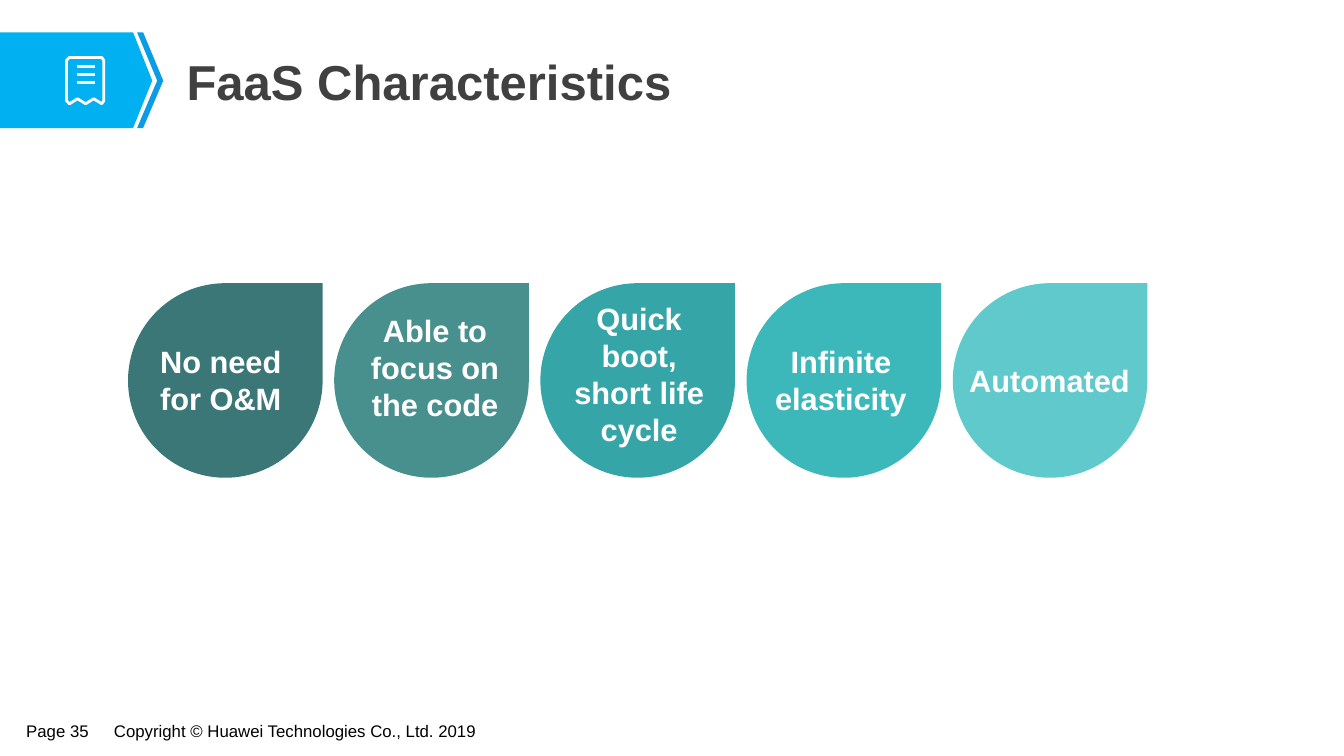
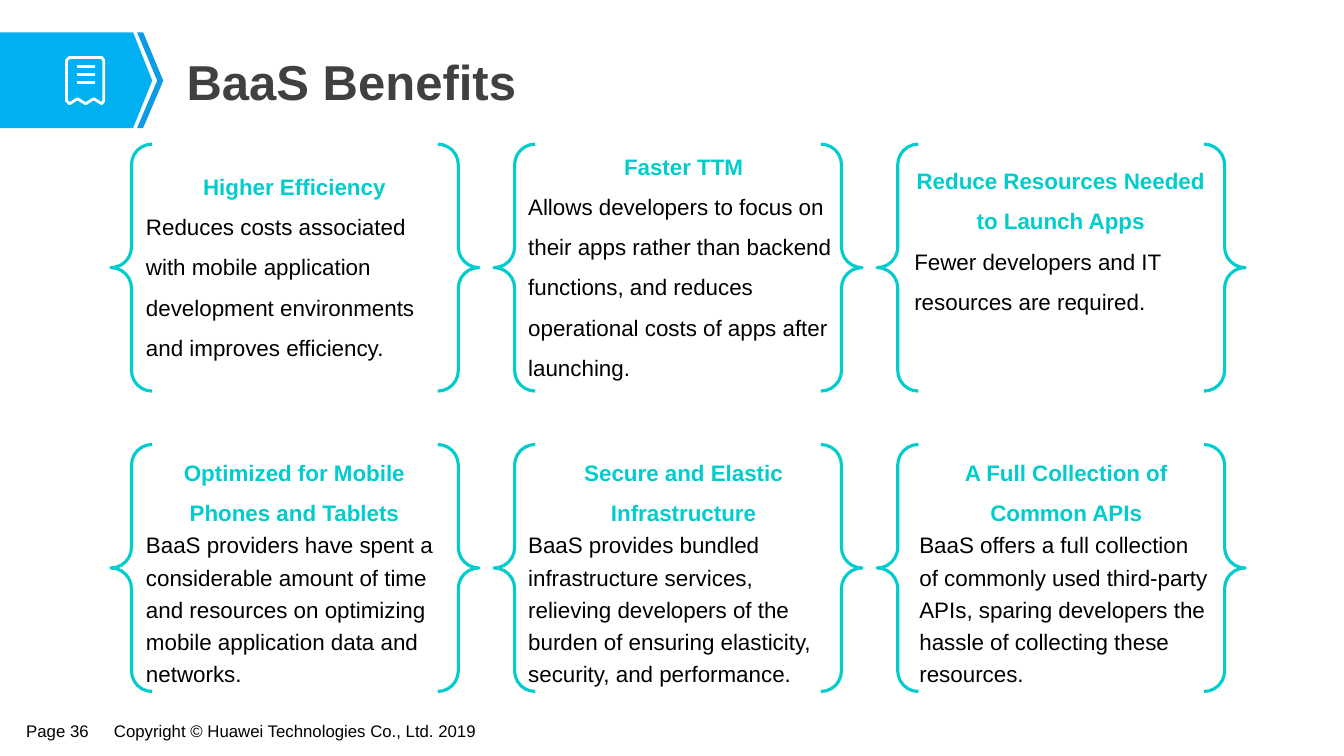
from dataclasses import dataclass
from typing import Optional

import pptx
import pptx.dml.color
import pptx.enum.shapes
import pptx.enum.text
import pptx.shapes.autoshape
import pptx.slide
import pptx.text.text
import pptx.util
from lxml import etree
from pptx.util import Inches

RGBColor = pptx.dml.color.RGBColor
MSO_SHAPE = pptx.enum.shapes.MSO_SHAPE
PP_ALIGN = pptx.enum.text.PP_ALIGN
MSO_ANCHOR = pptx.enum.text.MSO_ANCHOR

FONT = "Arial"
BLACK = RGBColor(0x00, 0x00, 0x00)
WHITE = RGBColor(0xFF, 0xFF, 0xFF)
TITLE_GREY = RGBColor(0x40, 0x40, 0x40)
BANNER_BLUE = RGBColor(0x00, 0xB0, 0xF0)
CHEVRON_BLUE = RGBColor(0x0B, 0x9C, 0xE5)
AQUA = RGBColor(0x02, 0xCC, 0xCC)
TEAL_1 = RGBColor(0x3B, 0x77, 0x77)
TEAL_2 = RGBColor(0x48, 0x90, 0x8E)
TEAL_3 = RGBColor(0x36, 0xA5, 0xA8)
TEAL_4 = RGBColor(0x3C, 0xB7, 0xBA)
TEAL_5 = RGBColor(0x60, 0xC9, 0xCC)

COPYRIGHT = "Copyright © Huawei Technologies Co., Ltd. 2019"
BANNER = [(1.32, 1.27), (0, 1.27), (0, 0.32), (1.32, 0.32), (1.51, 0.8)]
CHEVRON = [(1.42, 0.32), (1.36, 0.32), (1.56, 0.8), (1.36, 1.27), (1.42, 1.27), (1.62, 0.8)]
RECEIPT = [
    (0.69, 0.57), (1.01, 0.57), (1.03, 0.6), (1.03, 1), (1.01, 1.03), (0.93, 0.98),
    (0.85, 1.03), (0.77, 0.98), (0.69, 1.03), (0.66, 1), (0.66, 0.6),
]

Point = tuple[float, float]
Box = tuple[float, float, float, float]


@dataclass(frozen=True)
class Drop:
    lines: tuple[str, ...]
    color: RGBColor
    box: Box
    align: PP_ALIGN = PP_ALIGN.CENTER


@dataclass(frozen=True)
class Benefit:
    heading: str
    body: str
    box: Box
    spacing: float


DROPS = [
    Drop(("No need for O&M",), TEAL_1, (1.49, 3.35, 1.57, 0.84), PP_ALIGN.LEFT),
    Drop(("Able to focus on the code",), TEAL_2, (3.4, 3.04, 1.83, 1.21)),
    Drop(("Quick boot,", "short life cycle"), TEAL_3, (5.41, 2.92, 1.86, 1.58)),
    Drop(("Infinite elasticity",), TEAL_4, (7.3, 3.35, 2.08, 0.84)),
    Drop(("Automated",), TEAL_5, (9.46, 3.54, 1.9, 0.47)),
]

BENEFITS = [
    Benefit(
        "Higher Efficiency",
        "Reduces costs associated with mobile application development environments "
        "and improves efficiency.",
        (1.35, 1.52, 3.14, 2.12), 1.5,
    ),
    Benefit(
        "Faster TTM",
        "Allows developers to focus on their apps rather than backend functions, "
        "and reduces operational costs of apps after launching.",
        (5.14, 1.32, 3.28, 2.52), 1.5,
    ),
    Benefit(
        "Reduce Resources Needed to Launch Apps",
        "Fewer developers and IT resources are required.",
        (8.97, 1.47, 3.1, 1.71), 1.5,
    ),
    Benefit(
        "Optimized for Mobile Phones and Tablets",
        "BaaS providers have spent a considerable amount of time and resources "
        "on optimizing mobile application data and networks.",
        (1.35, 4.36, 3.14, 2.52), 1.2,
    ),
    Benefit(
        "Secure and Elastic Infrastructure",
        "BaaS provides bundled infrastructure services, relieving developers of the "
        "burden of ensuring elasticity, security, and performance.",
        (5.14, 4.36, 3.28, 2.52), 1.2,
    ),
    Benefit(
        "A Full Collection of Common APIs",
        "BaaS offers a full collection of commonly used third-party APIs, sparing "
        "developers the hassle of collecting these resources.",
        (9.02, 4.36, 3.11, 2.52), 1.2,
    ),
]


def add_frame(
    s: pptx.slide.Slide,
    box: Box,
    *,
    wrap: bool = True,
    anchor: MSO_ANCHOR = MSO_ANCHOR.MIDDLE,
    inset: Point = (0.1, 0.05),
) -> pptx.text.text.TextFrame:
    tf = s.shapes.add_textbox(*map(Inches, box)).text_frame
    tf.word_wrap = wrap
    tf.vertical_anchor = anchor
    tf.margin_left = tf.margin_right = Inches(inset[0])
    tf.margin_top = tf.margin_bottom = Inches(inset[1])
    return tf


def add_text(
    tf: pptx.text.text.TextFrame,
    text: str,
    *,
    size: float,
    color: RGBColor = BLACK,
    bold: bool = False,
    align: PP_ALIGN = PP_ALIGN.LEFT,
    spacing: float = 1.0,
) -> None:
    p = tf.paragraphs[0]
    if p.runs:
        p = tf.add_paragraph()
    p.alignment = align
    p.line_spacing = spacing
    r = p.add_run()
    r.text = text
    r.font.name = FONT
    r.font.size = pptx.util.Pt(size)
    r.font.bold = bold
    r.font.color.rgb = color


def style_shape(
    sp: pptx.shapes.autoshape.Shape,
    *,
    fill: Optional[RGBColor] = None,
    line: Optional[RGBColor] = None,
    width: float = 2.25,
) -> None:
    sp.shadow.inherit = False
    if fill is None:
        sp.fill.background()
    else:
        sp.fill.solid()
        sp.fill.fore_color.rgb = fill
    if line is None:
        sp.line.fill.background()
    else:
        sp.line.color.rgb = line
        sp.line.width = pptx.util.Pt(width)


def add_outline(s: pptx.slide.Slide, points: list[Point]) -> pptx.shapes.autoshape.Shape:
    start, *rest = [(Inches(x), Inches(y)) for x, y in points]
    builder = s.shapes.build_freeform(*start)
    builder.add_line_segments(rest, close=True)
    return builder.convert_to_shape()


def add_rule(s: pptx.slide.Slide, x1: float, x2: float, y: float) -> None:
    rule = s.shapes.add_connector(
        pptx.enum.shapes.MSO_CONNECTOR.STRAIGHT, Inches(x1), Inches(y), Inches(x2), Inches(y)
    )
    rule.line.color.rgb = WHITE
    rule.line.width = pptx.util.Pt(2)
    etree.SubElement(rule._element.spPr, pptx.oxml.ns.qn("a:effectLst"))


def add_base_slide(prs: pptx.presentation.Presentation, title: str, page: int) -> pptx.slide.Slide:
    s = prs.slides.add_slide(prs.slide_layouts[6])
    footers = [(f"Page {page}", (0.17, 7.11, 0.84, 0.29)), (COPYRIGHT, (1.04, 7.11, 3.79, 0.29))]
    for text, box in footers:
        tf = add_frame(s, box, wrap=False, anchor=MSO_ANCHOR.TOP, inset=(0.09, 0.04))
        add_text(tf, text, size=12)
    style_shape(add_outline(s, BANNER), fill=BANNER_BLUE)
    style_shape(add_outline(s, CHEVRON), fill=CHEVRON_BLUE)
    style_shape(add_outline(s, RECEIPT), line=WHITE, width=2)
    for row in range(3):
        add_rule(s, 0.76, 0.94, 0.66 + 0.08 * row)
    tf = add_frame(s, (1.74, 0.45, 10.75, 0.7), inset=(0.11, 0.06))
    add_text(tf, title, size=35, color=TITLE_GREY, bold=True)
    return s


def build_characteristics(prs: pptx.presentation.Presentation) -> None:
    s = add_base_slide(prs, "FaaS Characteristics", 35)
    left, top, side = 1.27, 2.81, 1.93
    pitch = (9.45 - left) / (len(DROPS) - 1)
    for i, drop in enumerate(DROPS):
        sp = s.shapes.add_shape(
            MSO_SHAPE.TEAR, Inches(left + i * pitch), Inches(top), Inches(side), Inches(side)
        )
        style_shape(sp, fill=drop.color)
    for drop in DROPS:
        tf = add_frame(s, drop.box)
        for line in drop.lines:
            add_text(tf, line, size=22, color=WHITE, bold=True, align=drop.align)


def build_benefits(prs: pptx.presentation.Presentation) -> None:
    s = add_base_slide(prs, "BaaS Benefits", 36)
    for i, benefit in enumerate(BENEFITS):
        row, col = divmod(i, 3)
        sp = s.shapes.add_shape(
            MSO_SHAPE.DOUBLE_BRACE,
            Inches(1.1 + 3.8 * col), Inches(1.43 + 2.98 * row), Inches(3.65), Inches(2.45),
        )
        style_shape(sp, line=AQUA)
        tf = add_frame(s, benefit.box)
        add_text(
            tf, benefit.heading, size=16, color=AQUA, bold=True,
            align=PP_ALIGN.CENTER, spacing=1.5,
        )
        add_text(tf, benefit.body, size=16, spacing=benefit.spacing)


def main() -> None:
    prs = pptx.Presentation()
    prs.slide_width = Inches(13.33)
    prs.slide_height = Inches(7.5)
    build_characteristics(prs)
    build_benefits(prs)
    prs.save("out.pptx")


if __name__ == "__main__":
    main()
